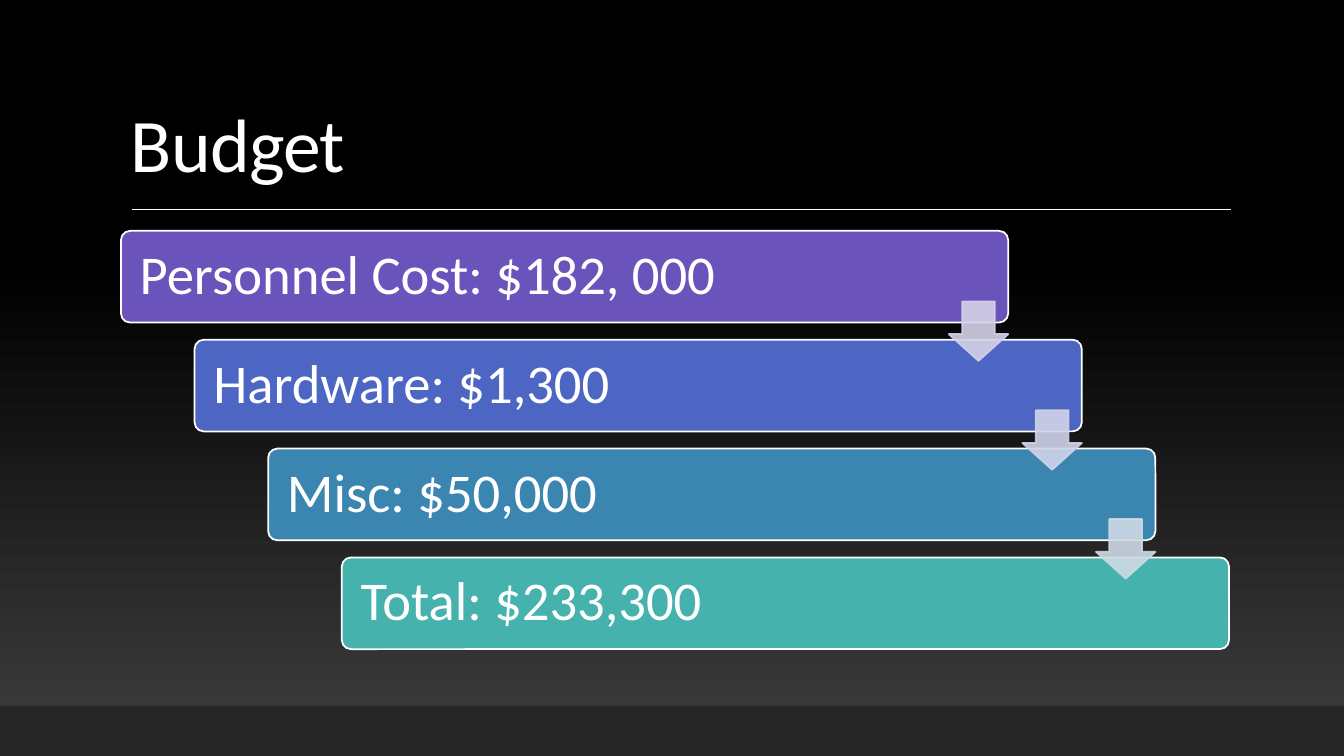
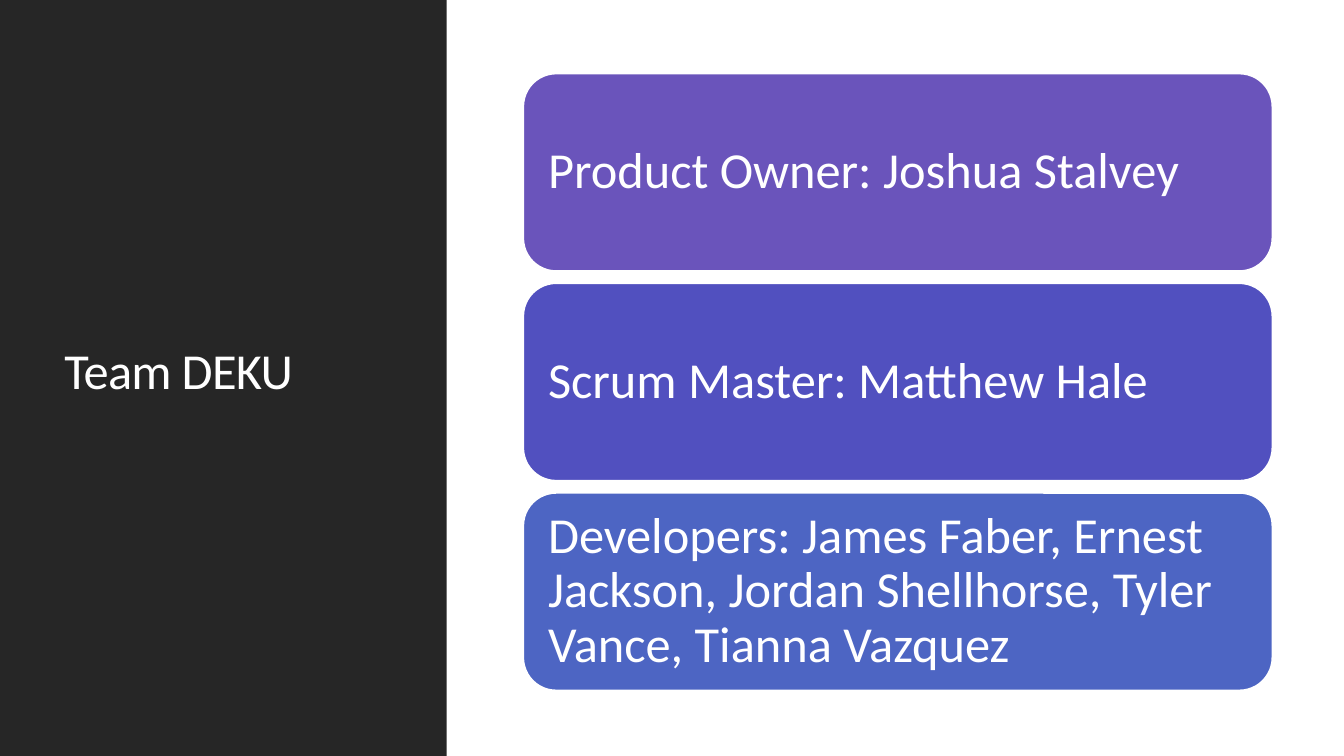
from lxml import etree
from pptx import Presentation
from pptx import util as u
from pptx.dml.color import RGBColor
from pptx.enum import shapes, text
from pptx.oxml import ns

FONT = "Calibri"
WHITE, BLACK, CHARCOAL, GREY = "FFFFFF", "000000", "262626", "3F3F3F"
PURPLE, INDIGO, BLUE, SKY, TEAL = "6A54BB", "5150BF", "4D65C3", "3B85B1", "46B2AE"
RECTANGLE = shapes.MSO_SHAPE.RECTANGLE
ROUNDED = shapes.MSO_SHAPE.ROUNDED_RECTANGLE
ARROW = shapes.MSO_SHAPE.DOWN_ARROW


def add_panel(slide, kind, box, fill, line=None, opacity=100):
    """Add a flat preset shape; box is left, top, width, height in inches."""
    shape = slide.shapes.add_shape(kind, *map(u.Inches, box))
    shape.shadow.inherit = False
    shape.fill.solid()
    shape.fill.fore_color.rgb = RGBColor.from_string(fill)
    if line:
        shape.line.width = u.Pt(1.25)
        shape.line.color.rgb = RGBColor.from_string(line)
    else:
        shape.line.fill.background()
    if opacity < 100:
        for color in shape._element.spPr.iter(ns.qn("a:srgbClr")):
            etree.SubElement(color, ns.qn("a:alpha"), val=str(opacity * 1000))
    return shape


def write(shape, words, size, anchor, spacing, margins=(0.1, 0.05), tracking=0):
    """Set left-aligned white text; margins are horizontal and vertical inches."""
    frame = shape.text_frame
    frame.word_wrap = True
    frame.vertical_anchor = anchor
    frame.margin_left = frame.margin_right = u.Inches(margins[0])
    frame.margin_top = frame.margin_bottom = u.Inches(margins[1])
    paragraph = frame.paragraphs[0]
    paragraph.text = words
    paragraph.alignment = text.PP_ALIGN.LEFT
    paragraph.line_spacing = spacing
    font = paragraph.runs[0].font
    font.name, font.size = FONT, u.Pt(size)
    font.color.rgb = RGBColor.from_string(WHITE)
    if tracking:
        paragraph.runs[0]._r.get_or_add_rPr().set("spc", str(tracking))


WIDTH, HEIGHT = 13.33, 7.5
presentation = Presentation()
presentation.slide_width, presentation.slide_height = u.Inches(WIDTH), u.Inches(HEIGHT)
blank = presentation.slide_layouts[6]
budget, team = [presentation.slides.add_slide(blank) for _ in range(2)]

# Backgrounds and dark bands
background = budget.background.fill
background.gradient()
background.gradient_angle = 90
for stop, (position, color) in zip(background.gradient_stops, [(0, GREY), (0.65, BLACK)]):
    stop.position = position
    stop.color.rgb = RGBColor.from_string(color)
team.background.fill.solid()
team.background.fill.fore_color.rgb = RGBColor.from_string(WHITE)
add_panel(budget, RECTANGLE, (0, HEIGHT * 14 / 15, WIDTH, HEIGHT / 15), CHARCOAL)
add_panel(team, RECTANGLE, (0, 0, 4.43, HEIGHT), CHARCOAL)

# Titles
MIDDLE, BOTTOM = text.MSO_ANCHOR.MIDDLE, text.MSO_ANCHOR.BOTTOM
titles = [
    (budget, "Budget", (1.2, 0.31, 11, 1.59), 54, BOTTOM),
    (team, "Team DEKU", (0.54, 0.57, 3.37, 6.31), 36, MIDDLE),
]
for slide, words, box, size, anchor in titles:
    title = slide.shapes.add_textbox(*map(u.Inches, box))
    write(title, words, size, anchor, 0.8, tracking=-50)

rule = budget.shapes.add_connector(
    shapes.MSO_CONNECTOR.STRAIGHT, *map(u.Inches, (1.31, 2.08, 12.21, 2.08)))
rule.line.color.rgb = RGBColor.from_string(WHITE)
rule.line.width = u.Pt(1)
etree.SubElement(rule._element.spPr, ns.qn("a:effectLst"))

# Budget staircase: each step moves right and down, arrows lie over the joints
STEP_LEFT, STEP_TOP, STEP_WIDTH, STEP_HEIGHT = 1.2, 2.29, 8.8, 0.91
STEP_RIGHT, STEP_DOWN, ARROW_SIZE = 0.73, 1.08, 0.59
costs = [
    ("Personnel Cost: $182, 000", PURPLE),
    ("Hardware: $1,300", BLUE),
    ("Misc: $50,000", SKY),
    ("Total: $233,300", TEAL),
]
for row, (words, color) in enumerate(costs):
    box = (STEP_LEFT + row * STEP_RIGHT, STEP_TOP + row * STEP_DOWN, STEP_WIDTH, STEP_HEIGHT)
    step = add_panel(budget, ROUNDED, box, color, WHITE)
    step.adjustments[0] = 0.1
    write(step, words, 39, MIDDLE, 0.9, (0.16, 0.16))

for row, color in enumerate(["D4D1E7", "D0D3E9", "CED9E4"]):
    left = STEP_LEFT + STEP_WIDTH - ARROW_SIZE + row * STEP_RIGHT
    top = STEP_TOP + 0.7 + row * STEP_DOWN
    arrow = add_panel(budget, ARROW, (left, top, ARROW_SIZE, ARROW_SIZE), color, color, 90)
    arrow.adjustments[0], arrow.adjustments[1] = 0.45, 0.55

# Team roles, stacked with equal gaps
ROLE_HEIGHT, ROLE_GAP = 1.96, 0.12
roles = [
    ("Product Owner: Joshua Stalvey", PURPLE),
    ("Scrum Master: Matthew Hale", INDIGO),
    ("Developers: James Faber, Ernest Jackson, Jordan Shellhorse, "
     "Tyler Vance, Tianna Vazquez", BLUE),
]
for row, (words, color) in enumerate(roles):
    top = 0.73 + row * (ROLE_HEIGHT + ROLE_GAP)
    role = add_panel(team, ROUNDED, (5.19, top, 7.43, ROLE_HEIGHT), color, WHITE)
    write(role, words, 36, MIDDLE, 0.9, (0.15, 0.15))

# The listed order of arrow adjustments is shaft width, then head length
for shape in budget.shapes:
    if shape.shape_type == shapes.MSO_SHAPE_TYPE.AUTO_SHAPE and shape.auto_shape_type == ARROW:
        shape.adjustments[0], shape.adjustments[1] = 0.55, 0.45

presentation.save("out.pptx")
